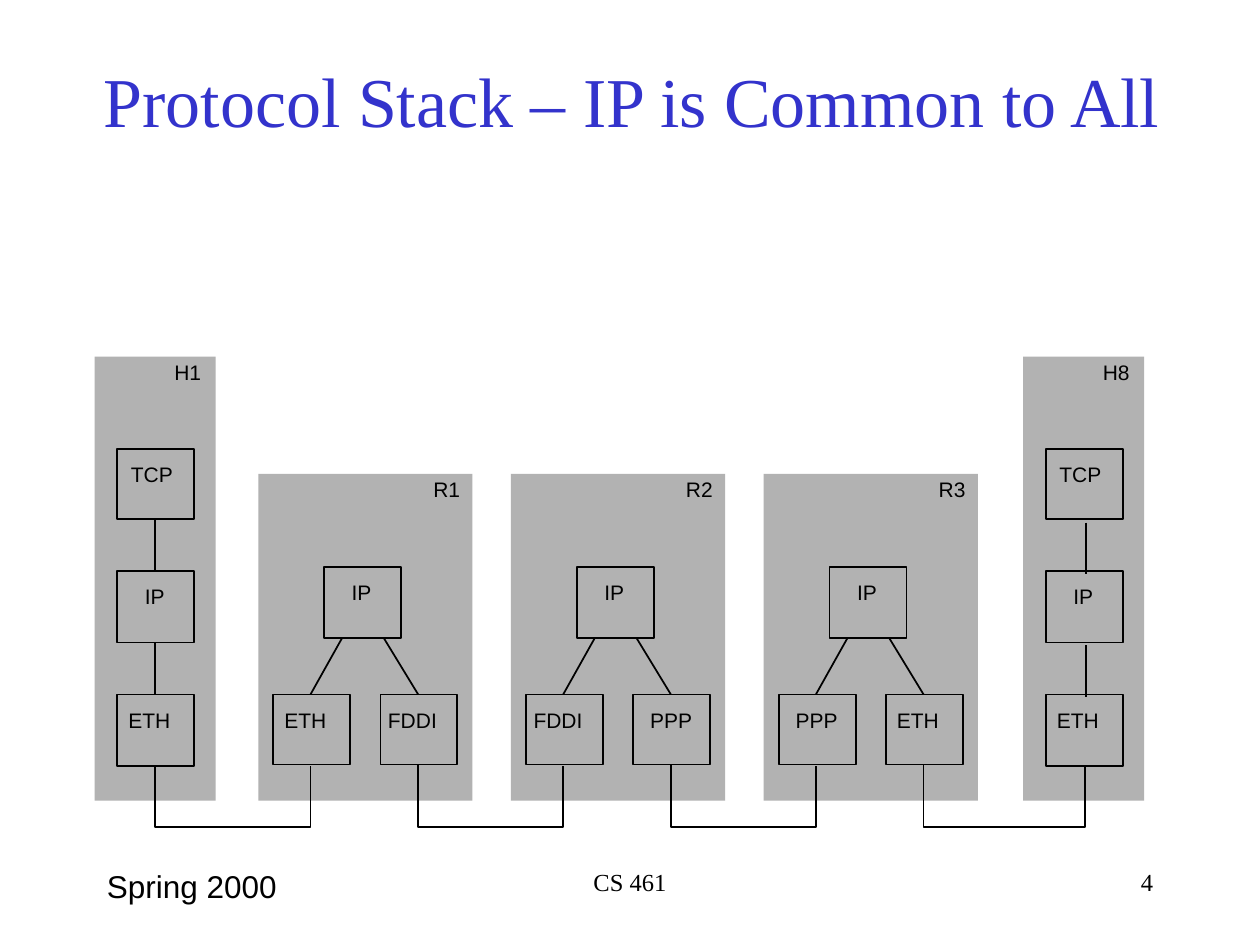
from dataclasses import dataclass

from lxml.etree import SubElement
from pptx import Presentation
from pptx.dml.color import RGBColor
from pptx.enum.shapes import MSO_CONNECTOR, MSO_SHAPE
from pptx.enum.text import MSO_ANCHOR, MSO_AUTO_SIZE, PP_ALIGN
from pptx.oxml.ns import qn
from pptx.util import Pt


@dataclass
class Theme:
    ink: RGBColor = RGBColor(0, 0, 0)
    blue: RGBColor = RGBColor(0x33, 0x33, 0xCC)
    gray: RGBColor = RGBColor(0xB2, 0xB2, 0xB2)
    serif: str = "Times New Roman"
    sans: str = "Arial"
    title: int = 40
    date: int = 18
    foot: int = 14
    label: int = 12
    line: int = 1


class Deck:
    def __init__(self, slide, theme):
        self.slide = slide
        self.shapes = slide.shapes
        self.theme = theme

    def font(self, frame, face, size, color, align):
        para = frame.paragraphs[0]
        para.alignment = align
        para.font.name = face
        para.font.size = Pt(size)
        para.font.color.rgb = color

    def title(self, text, x, y, w, h):
        t = self.theme
        shape = self.shapes.title
        shape.left, shape.top, shape.width, shape.height = map(Pt, (x, y, w, h))
        frame = shape.text_frame
        frame.text = text
        frame.auto_size = MSO_AUTO_SIZE.NONE
        frame.vertical_anchor = MSO_ANCHOR.MIDDLE
        self.font(frame, t.serif, t.title, t.blue, PP_ALIGN.CENTER)

    def foot(self, text, x, w, face, size, align):
        frame = self.shapes.add_textbox(Pt(x), Pt(492), Pt(w), Pt(36)).text_frame
        frame.text = text
        frame.word_wrap = True
        self.font(frame, face, size, self.theme.ink, align)

    def label(self, text, x, y, w):
        t = self.theme
        frame = self.shapes.add_textbox(Pt(x), Pt(y), Pt(w), Pt(14.2)).text_frame
        frame.text = text
        frame.word_wrap = False
        frame.auto_size = MSO_AUTO_SIZE.SHAPE_TO_FIT_TEXT
        frame.margin_left = frame.margin_right = 0
        frame.margin_top = frame.margin_bottom = 0
        self.font(frame, t.sans, t.label, t.ink, PP_ALIGN.LEFT)

    def rect(self, x, y, w, h):
        shape = self.shapes.add_shape(MSO_SHAPE.RECTANGLE, Pt(x), Pt(y), Pt(w), Pt(h))
        shape.shadow.inherit = False
        return shape

    def ink(self, shape):
        shape.line.color.rgb = self.theme.ink
        shape.line.width = Pt(self.theme.line)

    def panel(self, name, x, y, w, h, inset):
        shape = self.rect(x, y, w, h)
        shape.fill.solid()
        shape.fill.fore_color.rgb = self.theme.gray
        shape.line.fill.background()
        self.label(name, x + w - inset, y + 1.5, 16)

    def box(self, name, x, y, h):
        shape = self.rect(x, y, 44, h)
        shape.fill.background()
        self.ink(shape)
        inset, width = LABELS[name]
        self.label(name, x + inset, y + 7.2, width)

    def link(self, x1, y1, x2, y2):
        line = self.shapes.add_connector(
            MSO_CONNECTOR.STRAIGHT, Pt(x1), Pt(y1), Pt(x2), Pt(y2))
        self.ink(line)
        SubElement(line._element.spPr, qn("a:effectLst"))

    def wire(self, x1, x2, low):
        pen = self.shapes.build_freeform(Pt(x1), Pt(437.2))
        pen.add_line_segments(
            [(Pt(x1), Pt(low)), (Pt(x2), Pt(low)), (Pt(x2), Pt(437.8))], close=False)
        shape = pen.convert_to_shape()
        shape.shadow.inherit = False
        shape.fill.background()
        self.ink(shape)

    def host(self, name, x, mid, drop):
        self.panel(name, x, 203.8, 69.2, 253.8, 23.6)
        for part, y, h in (("TCP", 256.4, 40), ("IP", 326.2, 41), ("ETH", 396.9, 41)):
            self.box(part, x + 13, y, h)
        for top, end in ((297, 326.2), (367.2, 396.9)):
            self.link(mid, top + drop, mid, end + drop)

    def router(self, name, x, left, right):
        self.panel(name, x, 270.8, 122.4, 186.8, 22.4)
        self.box("IP", x + 37.6, 324, 40.4)
        self.box(left, x + 8.6, 396.9, 40)
        self.box(right, x + 69.8, 396.9, 40)
        self.link(x + 29.8, 396.9, x + 48, 364.4)
        self.link(x + 71.6, 364.4, x + 91.4, 396.9)


LABELS = {
    "TCP": (7.8, 24), "IP": (15.8, 11.5), "ETH": (6.3, 24),
    "FDDI": (4.3, 28), "PPP": (9.7, 24),
}
ROUTERS = (("R1", "ETH", "FDDI"), ("R2", "FDDI", "PPP"), ("R3", "PPP", "ETH"))


def main():
    pres = Presentation()
    pres.slide_width, pres.slide_height = Pt(720), Pt(540)
    theme = Theme()
    deck = Deck(pres.slides.add_slide(pres.slide_layouts[5]), theme)
    deck.title("Protocol Stack – IP is Common to All ", 48, 30, 636, 54)

    deck.host("H1", 54, 88.7, 0)
    ends = [88.7]
    for i, (name, left, right) in enumerate(ROUTERS):
        x = 147.6 + 144.4 * i
        deck.router(name, x, left, right)
        ends += [x + 29.8, x + 91.4]
    deck.host("H8", 584.6, 620.6, 1.6)
    ends.append(619.8)
    for x1, x2 in zip(ends[::2], ends[1::2]):
        deck.wire(x1, x2, 472.6)

    deck.foot("CS 461", 246, 228, theme.serif, theme.foot, PP_ALIGN.CENTER)
    deck.foot("4", 516, 150, theme.serif, theme.foot, PP_ALIGN.RIGHT)
    deck.foot("Spring 2000", 54, 150, theme.sans, theme.date, PP_ALIGN.LEFT)
    pres.save("out.pptx")


if __name__ == "__main__":
    main()
